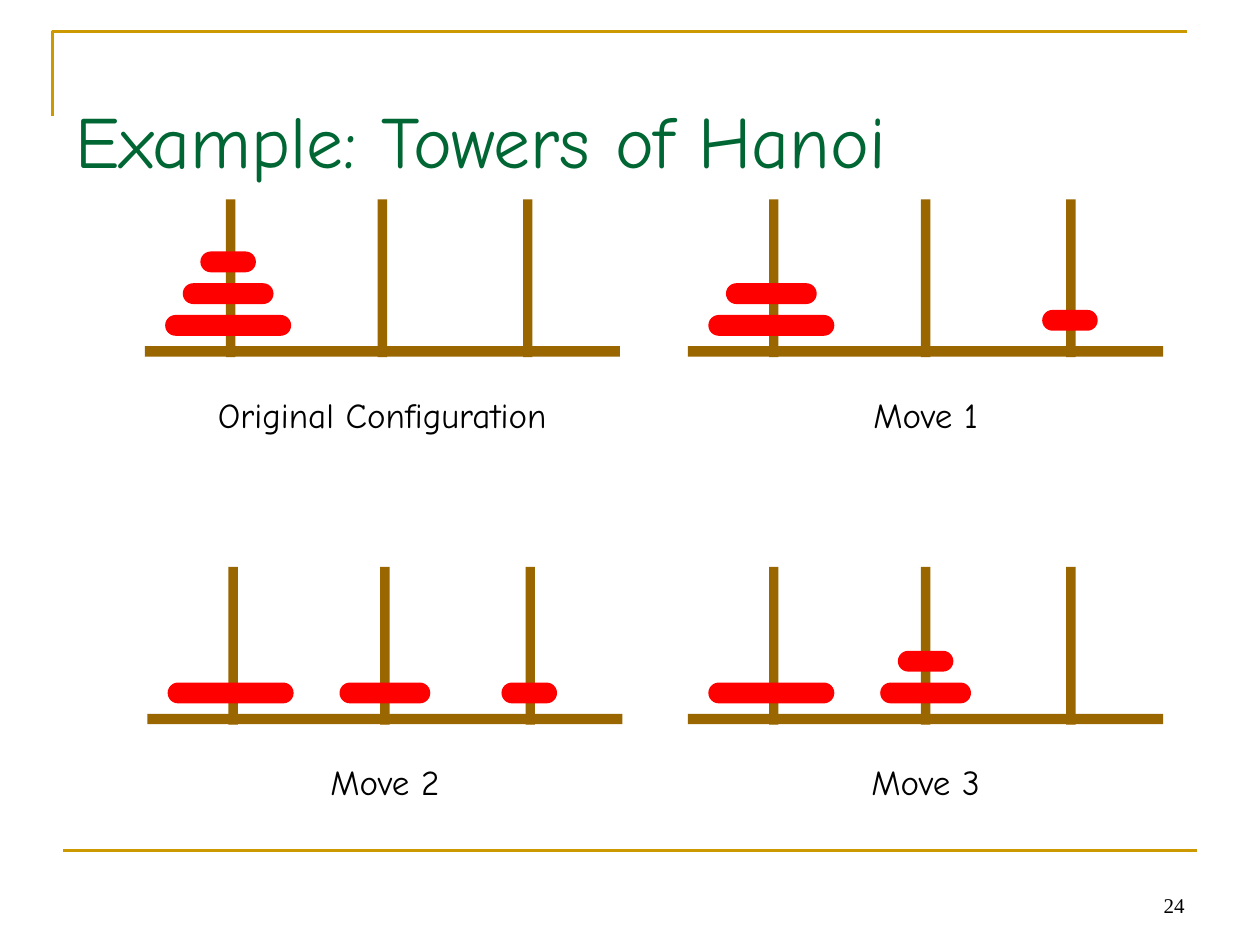
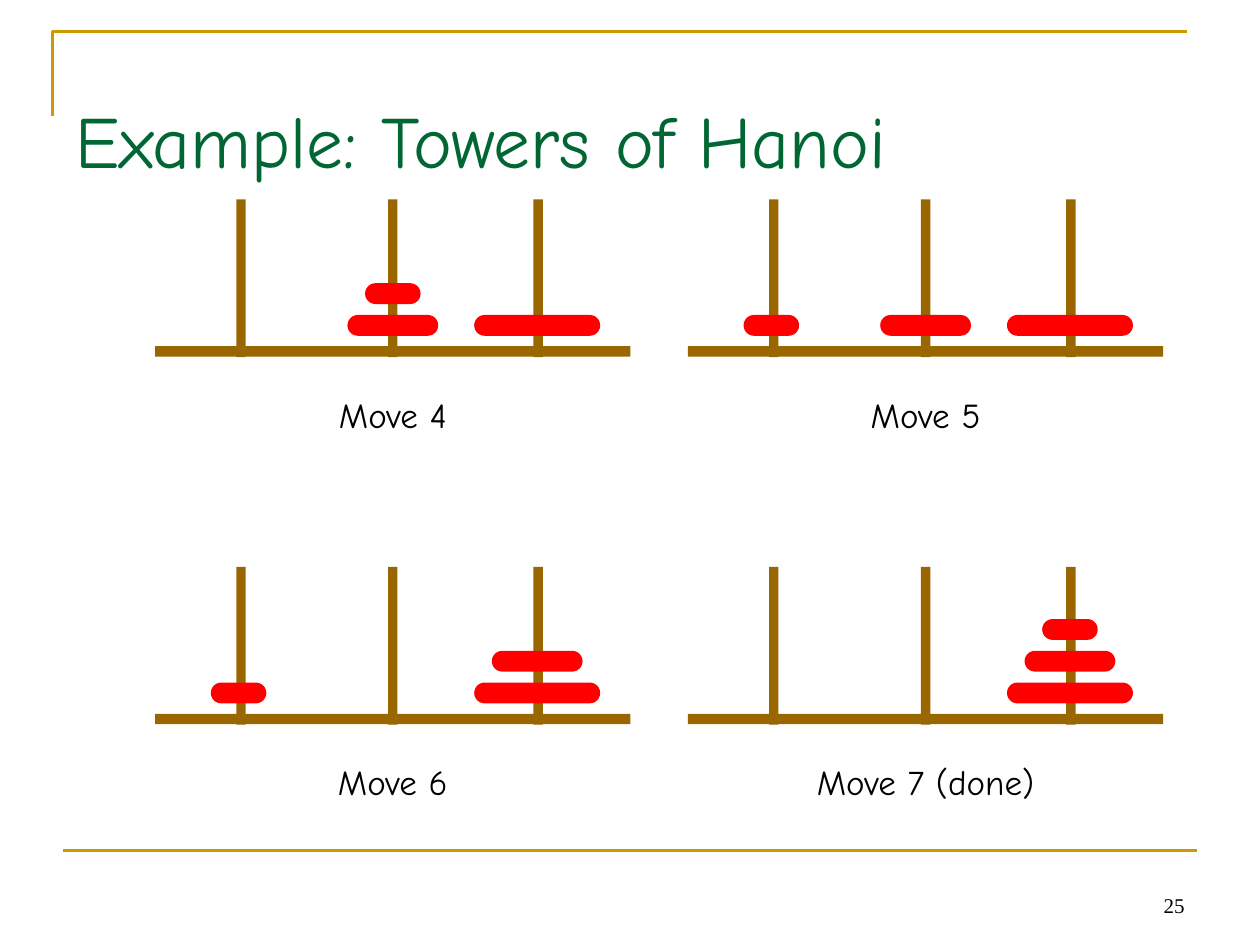
from pptx import Presentation
from pptx.dml.color import RGBColor
from pptx.enum.shapes import MSO_CONNECTOR, MSO_SHAPE
from pptx.enum.text import MSO_ANCHOR, PP_ALIGN
from pptx.oxml.ns import qn
from pptx.util import Cm, Pt
from lxml import etree

RECT, ROUNDED = MSO_SHAPE.RECTANGLE, MSO_SHAPE.ROUNDED_RECTANGLE
STRAIGHT = MSO_CONNECTOR.STRAIGHT
TOP, BOTTOM = MSO_ANCHOR.TOP, MSO_ANCHOR.BOTTOM
LEFT, CENTER, RIGHT = PP_ALIGN.LEFT, PP_ALIGN.CENTER, PP_ALIGN.RIGHT

COLORS = {"frame": "CC9900", "title": "006633", "wood": "996600",
          "disc": "FF0000", "text": "000000"}
TITLE = "Example: Towers of Hanoi"

BASE_WIDTH, BASE_HEIGHT, BASE_DROP = 9.58, 0.21, 2.96
ROD_WIDTH, ROD_HEIGHT = 0.19, 3.18
ROD_CENTERS = [1.73, 4.79, 7.72]
DISC_CENTERS = [1.68, 4.79, 7.7]
DISC_WIDTHS = {"small": 1.12, "medium": 1.83, "large": 2.54}
DISC_HEIGHT, DISC_DROP, DISC_STEP = 0.42, 2.33, 0.64
CAPTION_DROP, CAPTION_HEIGHT = 3.78, 1.12
UPPER, LOWER = 4.02, 11.43

# fields per board: caption, caption width, left, top, discs as (size, rod, level)
SLIDES = [
    (24, [
        ("Original Configuration", 7.14, 2.92, UPPER,
         [("large", 0, 0), ("medium", 0, 1), ("small", 0, 2)]),
        ("Move 1", 2.64, 13.87, UPPER,
         [("large", 0, 0), ("medium", 0, 1), ("small", 2, 0.16)]),
        ("Move 2", 2.72, 2.97, LOWER,
         [("large", 0, 0), ("medium", 1, 0), ("small", 2, 0)]),
        ("Move 3", 2.72, 13.87, LOWER,
         [("large", 0, 0), ("medium", 1, 0), ("small", 1, 1)]),
    ]),
    (25, [
        ("Move 4", 2.7, 3.13, UPPER,
         [("large", 2, 0), ("medium", 1, 0), ("small", 1, 1)]),
        ("Move 5", 2.74, 13.87, UPPER,
         [("large", 2, 0), ("medium", 1, 0), ("small", 0, 0)]),
        ("Move 6", 2.74, 3.13, LOWER,
         [("large", 2, 0), ("medium", 2, 1), ("small", 0, 0)]),
        ("Move 7 (done)", 4.9, 13.87, LOWER,
         [("large", 2, 0), ("medium", 2, 1), ("small", 2, 2)]),
    ]),
]


def add_bar(shapes, kind, left, top, width, height, color):
    bar = shapes.add_shape(kind, Cm(left), Cm(top), Cm(width), Cm(height))
    bar.shadow.inherit = False
    bar.fill.solid()
    bar.fill.fore_color.rgb = RGBColor.from_string(COLORS[color])
    bar.line.fill.background()
    return bar


def add_text(shapes, text, left, top, width, height, size, color="text",
             font="Comic Neue", align=LEFT, anchor=TOP, wrap=True):
    box = shapes.add_textbox(Cm(left), Cm(top), Cm(width), Cm(height))
    frame = box.text_frame
    frame.word_wrap = wrap
    frame.vertical_anchor = anchor
    para = frame.paragraphs[0]
    para.text = text
    para.alignment = align
    para.font.name = font
    para.font.size = Pt(size)
    para.font.color.rgb = RGBColor.from_string(COLORS[color])
    return box


deck = Presentation()
deck.slide_width, deck.slide_height = Cm(25.4), Cm(19.05)

for number, boards in SLIDES:
    page = deck.slides.add_slide(deck.slide_layouts[6])

    outline = page.shapes.build_freeform(Cm(1.06), Cm(2.33))
    outline.add_line_segments([(Cm(1.06), Cm(0.64)), (Cm(23.92), Cm(0.64))], close=False)
    corner = outline.convert_to_shape()
    corner.shadow.inherit = False
    corner.fill.background()
    rule = page.shapes.add_connector(STRAIGHT, Cm(1.27), Cm(17.15), Cm(24.13), Cm(17.15))
    etree.SubElement(rule._element.spPr, qn("a:effectLst"))
    for stroke in (corner, rule):
        stroke.line.color.rgb = RGBColor.from_string(COLORS["frame"])
        stroke.line.width = Pt(1.5)

    add_text(page.shapes, str(number), 18.2, 17.36, 5.93, 1.27, 12,
             font="Times New Roman", align=RIGHT, anchor=BOTTOM)
    title = add_text(page.shapes, TITLE, 1.27, 0.76, 22.86, 3.18, 42, "title", anchor=BOTTOM)
    title.text_frame.margin_bottom = Cm(0.25)

    for caption, caption_width, left, top, discs in boards:
        board = page.shapes.add_group_shape().shapes
        add_bar(board, RECT, left, top + BASE_DROP, BASE_WIDTH, BASE_HEIGHT, "wood")
        for center in ROD_CENTERS:
            add_bar(board, RECT, left + center - ROD_WIDTH / 2, top,
                    ROD_WIDTH, ROD_HEIGHT, "wood")
        for size, rod, level in discs:
            width = DISC_WIDTHS[size]
            disc = add_bar(board, ROUNDED, left + DISC_CENTERS[rod] - width / 2,
                           top + DISC_DROP - level * DISC_STEP, width, DISC_HEIGHT, "disc")
            disc.adjustments[0] = 0.5
        add_text(board, caption, left + (BASE_WIDTH - caption_width) / 2, top + CAPTION_DROP,
                 caption_width, CAPTION_HEIGHT, 20, align=CENTER, wrap=False)

deck.save("out.pptx")
